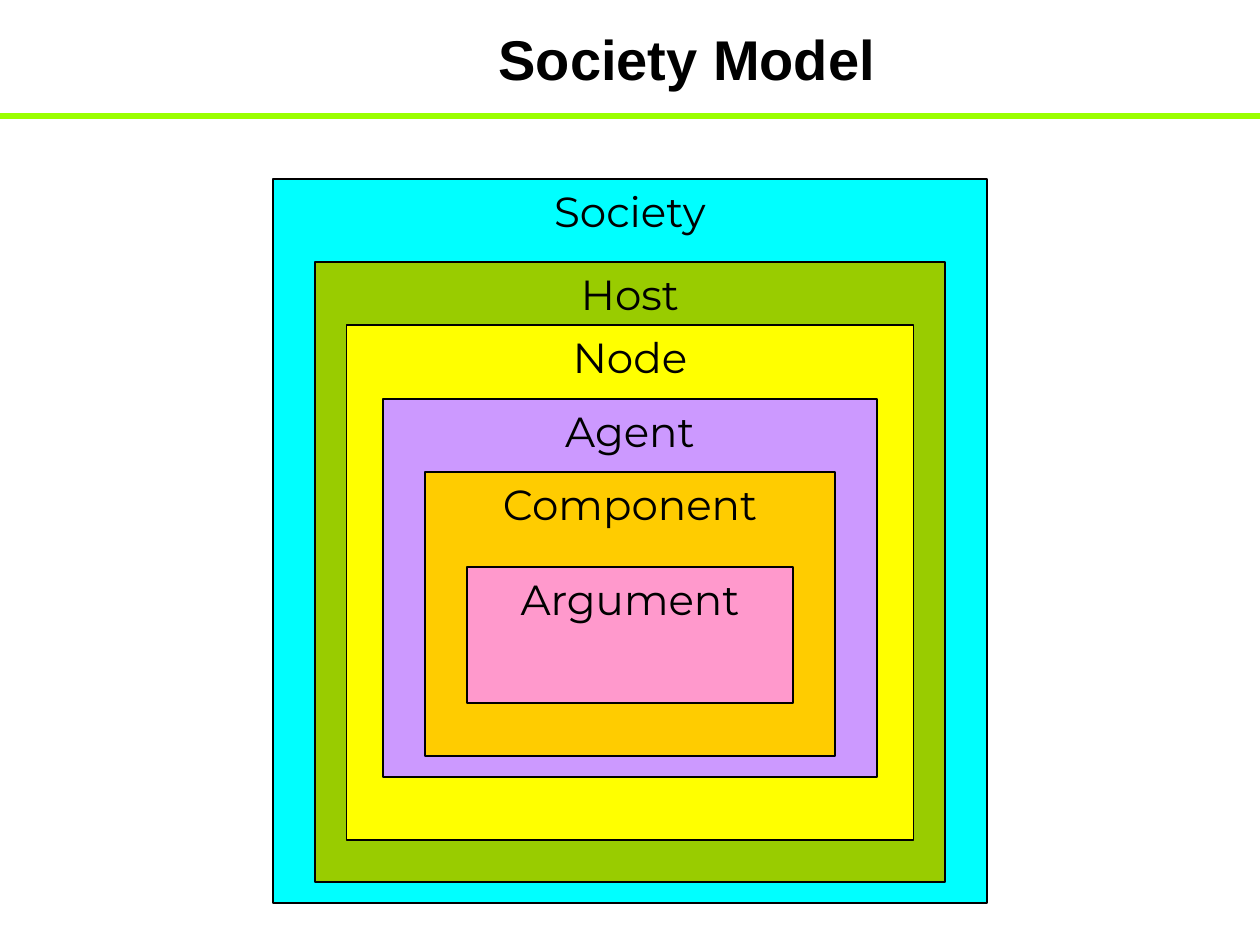
"""Build the Society Model slide: six nested boxes under a ruled title."""
from lxml.etree import SubElement
from pptx import Presentation
from pptx.dml.color import RGBColor
from pptx.enum.shapes import MSO_CONNECTOR, MSO_SHAPE
from pptx.enum.text import MSO_ANCHOR, PP_ALIGN
from pptx.oxml.ns import qn
from pptx.util import Pt

BLACK = RGBColor(0x00, 0x00, 0x00)
LIME = RGBColor(0x9B, 0xFF, 0x00)
CYAN = RGBColor(0x00, 0xFF, 0xFF)
GREEN = RGBColor(0x99, 0xCC, 0x00)
YELLOW = RGBColor(0xFF, 0xFF, 0x00)
VIOLET = RGBColor(0xCC, 0x99, 0xFF)
ORANGE = RGBColor(0xFF, 0xCC, 0x00)
PINK = RGBColor(0xFF, 0x99, 0xCC)

TITLE = "Society Model"
# label, fill, top, width, height
LEVELS = [
    ("Society", CYAN, 179, 714, 724),
    ("Host", GREEN, 262, 630, 620),
    ("Node", YELLOW, 325, 567, 515),
    ("Agent", VIOLET, 399, 494, 378),
    ("Component", ORANGE, 472, 410, 284),
    ("Argument", PINK, 567, 326, 136),
]
SLIDE_WIDTH, SLIDE_HEIGHT = 1260, 945
RULE_Y = 116
TITLE_LEFT, TITLE_WIDTH = 136, 1102
EMU_PER_PX = 914400 / 126


def px(length):
    """Turn a length in px into EMU."""
    return round(length * EMU_PER_PX)


def write(shape, text, font_name, size, anchor, bold=False):
    """Put one centred line of black text in a shape."""
    frame = shape.text_frame
    frame.text = text
    frame.vertical_anchor = anchor
    para = frame.paragraphs[0]
    para.alignment = PP_ALIGN.CENTER
    font = para.runs[0].font
    font.name, font.size, font.bold = font_name, Pt(size), bold
    font.color.rgb = BLACK


def add_rule(page):
    """Draw the line below the title."""
    rule = page.shapes.add_connector(
        MSO_CONNECTOR.STRAIGHT, px(SLIDE_WIDTH), px(RULE_Y), 0, px(RULE_Y))
    rule.line.color.rgb = LIME
    rule.line.width = Pt(3)
    SubElement(rule.element.spPr, qn("a:effectLst"))


def add_level(page, label, fill, top, width, height):
    """Draw one box, centred across the slide."""
    left = (SLIDE_WIDTH - width) / 2
    box = page.shapes.add_shape(
        MSO_SHAPE.RECTANGLE, px(left), px(top), px(width), px(height))
    box.shadow.inherit = False
    box.fill.solid()
    box.fill.fore_color.rgb = fill
    box.line.color.rgb = BLACK
    box.line.width = Pt(1)
    write(box, label, "Montserrat", 24, MSO_ANCHOR.TOP)
    box.text_frame.word_wrap = False


def main():
    """Build and save the deck."""
    deck = Presentation()
    deck.slide_width, deck.slide_height = px(SLIDE_WIDTH), px(SLIDE_HEIGHT)
    page = deck.slides.add_slide(deck.slide_layouts[5])
    add_rule(page)
    title = page.shapes.title
    title.left, title.top = px(TITLE_LEFT), 0
    title.width, title.height = px(TITLE_WIDTH), px(RULE_Y)
    write(title, TITLE, "Arial", 32, MSO_ANCHOR.MIDDLE, bold=True)
    for level in LEVELS:
        add_level(page, *level)
    deck.save("out.pptx")


if __name__ == "__main__":
    main()
